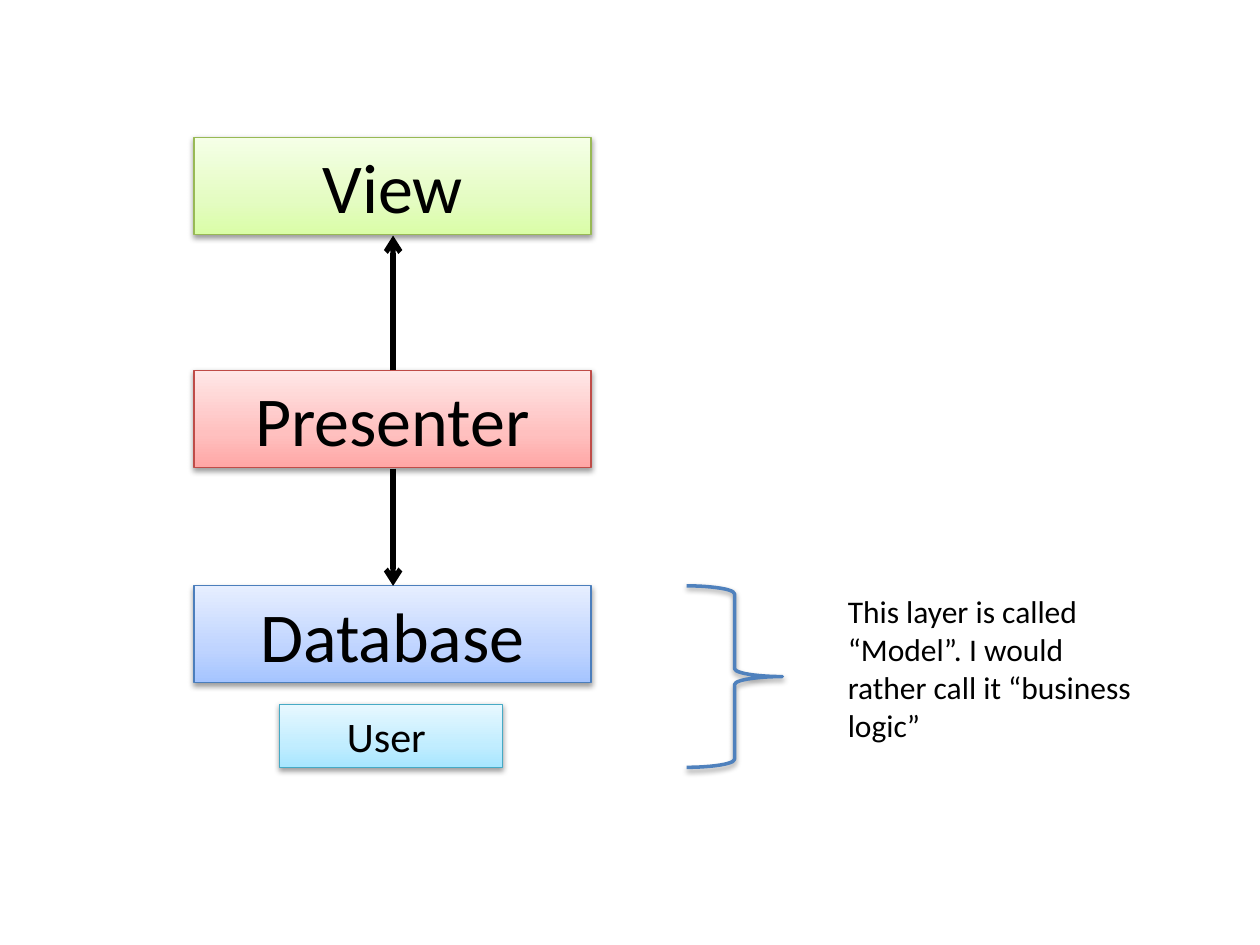
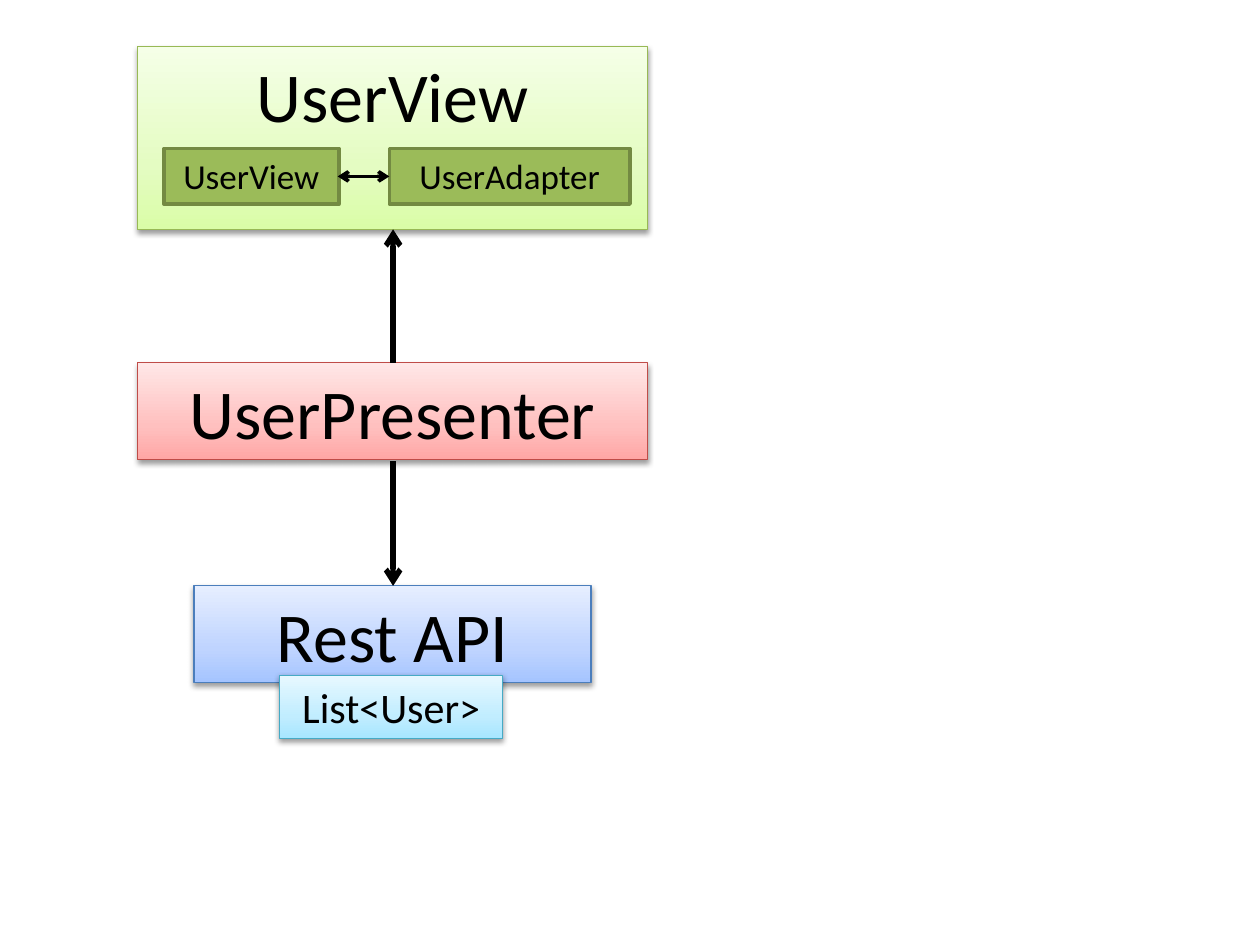
import pptx
import pptx.dml.color
import pptx.enum.shapes
import pptx.enum.text
import pptx.oxml
import pptx.oxml.ns
import pptx.util
import copy
import lxml.etree

Inches = pptx.util.Inches
Pt = pptx.util.Pt
qn = pptx.oxml.ns.qn
SHAPES = pptx.enum.shapes.MSO_SHAPE
ALIGN = pptx.enum.text.PP_ALIGN

SHADOW = (
    '<a:outerShdw xmlns:a="http://schemas.openxmlformats.org/drawingml/2006/main" '
    'blurRad="40000" dist="20000" dir="5400000" rotWithShape="0">'
    '<a:srgbClr val="000000"><a:alpha val="38000"/></a:srgbClr></a:outerShdw>'
)
STYLES = {
    "view": (["DAFDA7", "E4FCC2", "F5FFE7"], "98B955", 0.75),
    "presenter": (["FFA6A5", "FFC0BF", "FFE7E7"], "BF4C48", 0.75),
    "model": (["A4C4FF", "BFD4FF", "E6EEFF"], "4B7EBC", 0.75),
    "entity": (["A7E6FF", "C1EDFF", "E7F8FF"], "46AAC5", 0.75),
    "part": (["9BBB59"], "738A42", 2),
    "brace": ([], "4F81BD", 2),
}
CENTER = 3.12
ROW = 0.77
MODEL_TOP = 4.65


def color(value):
    return pptx.dml.color.RGBColor.from_string(value)


def write(box, text, size=40, align=ALIGN.CENTER, ink="000000"):
    frame = box.text_frame
    frame.word_wrap = True
    frame.vertical_anchor = pptx.enum.text.MSO_ANCHOR.TOP
    para = frame.paragraphs[0]
    para.alignment = align
    span = para.add_run()
    span.text = text
    span.font.name = "Calibri"
    span.font.size = Pt(size)
    span.font.color.rgb = color(ink)


layers_page = {
    "shapes": [
        ("view", "View", 40, 1.54, 1.09, 3.15, ROW),
        ("presenter", "Presenter", 40, 1.54, 2.94, 3.15, ROW),
        ("model", "Database", 40, 1.54, MODEL_TOP, 3.15, ROW),
        ("entity", "User ", 24, 2.22, 5.59, 1.77, 0.5),
        ("brace", "", 18, 5.45, MODEL_TOP, 0.76, 1.44),
    ],
    "arrows": [
        (CENTER, 2.94, CENTER, 1.87, 3, ["tailEnd"]),
        (CENTER, 3.72, CENTER, MODEL_TOP, 3, ["tailEnd"]),
    ],
    "note": "This layer is called “Model”. I would rather call it “business logic”",
}
user_page = {
    "shapes": [
        ("view", "UserView", 40, 1.09, 0.37, 4.05, 1.45),
        ("presenter", "UserPresenter", 40, 1.09, 2.88, 4.05, ROW),
        ("model", "Rest API", 40, 1.54, MODEL_TOP, 3.15, ROW),
        ("entity", "List<User>", 24, 2.22, 5.36, 1.77, 0.5),
        ("part", "UserView", 20, 1.3, 1.18, 1.39, 0.44),
        ("part", "UserAdapter", 20, 3.09, 1.18, 1.91, 0.44),
    ],
    "arrows": [
        (CENTER, 2.88, CENTER, 1.82, 3, ["tailEnd"]),
        (CENTER, 3.66, CENTER, MODEL_TOP, 3, ["tailEnd"]),
        (3.09, 1.4, 2.68, 1.4, 2, ["headEnd", "tailEnd"]),
    ],
    "note": "",
}

deck = pptx.Presentation()
deck.slide_width = Inches(10)
deck.slide_height = Inches(7.5)

for content in (layers_page, user_page):
    page = deck.slides.add_slide(deck.slide_layouts[6])

    for style, text, size, left, top, width, height in content["shapes"]:
        fills, outline, weight = STYLES[style]
        preset = SHAPES.RIGHT_BRACE if style == "brace" else SHAPES.RECTANGLE
        box = page.shapes.add_shape(
            preset, Inches(left), Inches(top), Inches(width), Inches(height)
        )
        if len(fills) == 3:
            box.fill.gradient()
            box.fill.gradient_angle = 90
            stops = box._element.spPr.find(qn("a:gradFill")).find(qn("a:gsLst"))
            stops.append(copy.deepcopy(stops[0]))
            for stop, position, shade in zip(box.fill.gradient_stops, (0, 0.35, 1), fills):
                stop.position = position
                stop.color.rgb = color(shade)
        elif fills:
            box.fill.solid()
            box.fill.fore_color.rgb = color(fills[0])
        else:
            box.fill.background()
        box.line.color.rgb = color(outline)
        box.line.width = Pt(weight)
        box.shadow.inherit = False
        if style != "part":
            effects = box._element.spPr.find(qn("a:effectLst"))
            effects.append(pptx.oxml.parse_xml(SHADOW))
        if text:
            write(box, text, size=size)

    if content["note"]:
        note = page.shapes.add_textbox(
            Inches(6.63), Inches(MODEL_TOP), Inches(2.45), Inches(1.31)
        )
        write(note, content["note"], size=18, align=ALIGN.LEFT)

    for x1, y1, x2, y2, weight, ends in content["arrows"]:
        arrow = page.shapes.add_connector(
            pptx.enum.shapes.MSO_CONNECTOR.STRAIGHT,
            Inches(x1), Inches(y1), Inches(x2), Inches(y2),
        )
        arrow.line.color.rgb = color("000000")
        arrow.line.width = Pt(weight)
        properties = arrow._element.spPr
        for end in ends:
            lxml.etree.SubElement(properties.find(qn("a:ln")), qn("a:" + end), type="arrow")
        lxml.etree.SubElement(properties, qn("a:effectLst"))

deck.save("out.pptx")
